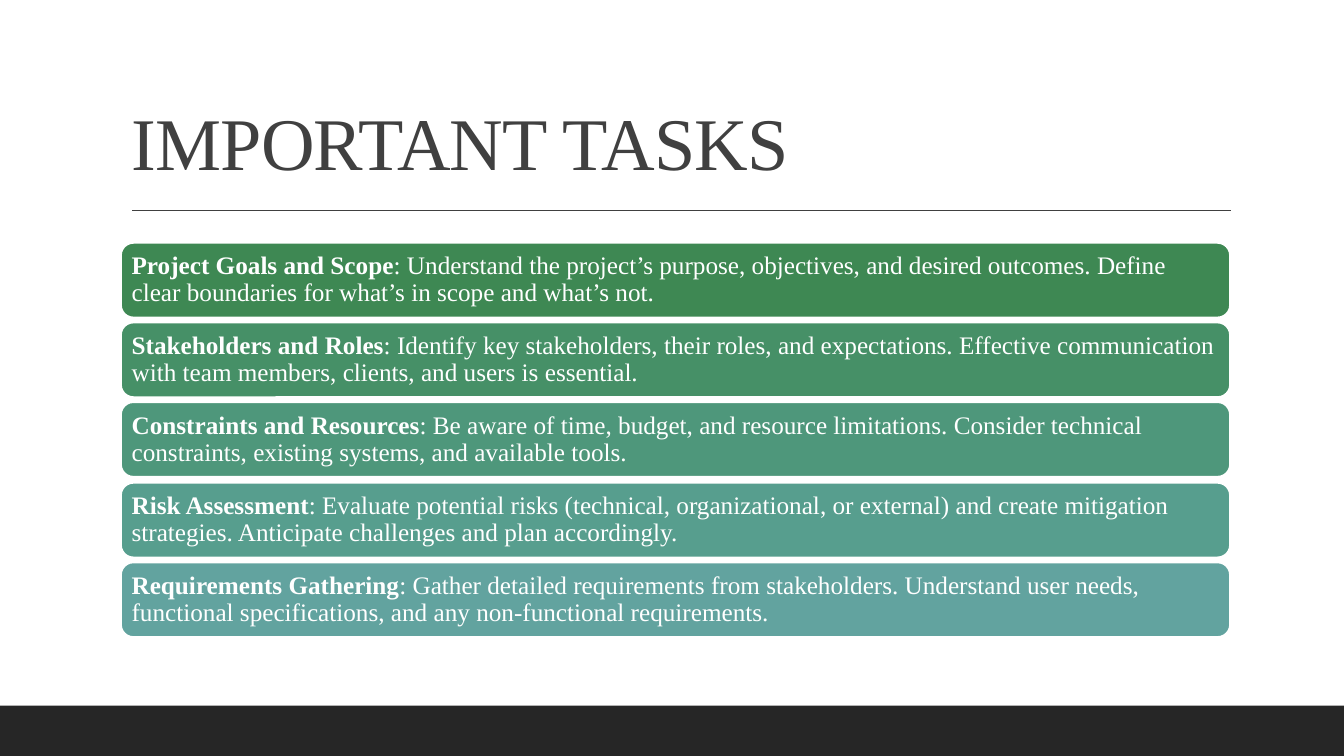
from dataclasses import dataclass

from pptx import Presentation
from pptx import util as u
from pptx.dml.color import RGBColor
from pptx.enum import shapes, text
from pptx.oxml.ns import qn
from lxml import etree

EMU_PER_PX = 9144  # 100 px to the inch


@dataclass(frozen=True)
class Theme:
    font: str = "Times New Roman"
    title_size: float = 53
    body_size: float = 18
    ink: str = "404040"
    footer: str = "262626"
    white: str = "FFFFFF"
    cards: tuple = ("3E8853", "469067", "4E977B", "579E8E", "62A39F")


THEME = Theme()

TASKS = [
    ("Project Goals and Scope",
     "Understand the project’s purpose, objectives, and desired outcomes. "
     "Define clear boundaries for what’s in scope and what’s not."),
    ("Stakeholders and Roles",
     "Identify key stakeholders, their roles, and expectations. "
     "Effective communication with team members, clients, and users is essential."),
    ("Constraints and Resources",
     "Be aware of time, budget, and resource limitations. "
     "Consider technical constraints, existing systems, and available tools."),
    ("Risk Assessment",
     "Evaluate potential risks (technical, organizational, or external) and create "
     "mitigation strategies. Anticipate challenges and plan accordingly."),
    ("Requirements Gathering",
     "Gather detailed requirements from stakeholders. Understand user needs, "
     "functional specifications, and any non-functional requirements."),
]

CARD_LEFT, CARD_TOP, CARD_WIDTH, CARD_HEIGHT = 120, 241, 1100, 74
CARD_PITCH = 79.25


def px(n):
    return u.Emu(n * EMU_PER_PX)


def rgb(color):
    return RGBColor.from_string(color)


def style_paragraph(p, size, color):
    p.alignment = text.PP_ALIGN.LEFT
    p.line_spacing = 0.9
    p.font.name = THEME.font
    p.font.size = u.Pt(size)
    p.font.color.rgb = rgb(color)


def add_box(s, kind, left, top, width, height, fill):
    sp = s.shapes.add_shape(kind, px(left), px(top), px(width), px(height))
    sp.shadow.inherit = False
    sp.fill.solid()
    sp.fill.fore_color.rgb = rgb(fill)
    sp.line.fill.background()
    return sp


def set_title(s, words):
    sp = s.shapes.title
    sp.left, sp.top, sp.width, sp.height = px(120), px(31), px(1100), px(159)
    tf = sp.text_frame
    tf.auto_size = text.MSO_AUTO_SIZE.NONE
    tf.vertical_anchor = text.MSO_ANCHOR.BOTTOM
    p = tf.paragraphs[0]
    style_paragraph(p, THEME.title_size, THEME.ink)
    r = p.add_run()
    r.text = words
    r._r.get_or_add_rPr().set("spc", "-50")


def add_rule(s, left, right, y):
    line = s.shapes.add_connector(shapes.MSO_CONNECTOR.STRAIGHT,
                                  px(left), px(y), px(right), px(y))
    line.line.color.rgb = rgb(THEME.ink)
    line.line.width = u.Pt(1)
    etree.SubElement(line._element.spPr, qn("a:effectLst"))


def add_card(s, top, fill, heading, detail):
    sp = add_box(s, shapes.MSO_SHAPE.ROUNDED_RECTANGLE,
                 CARD_LEFT, top, CARD_WIDTH, CARD_HEIGHT, fill)
    sp.line.color.rgb = rgb(THEME.white)
    sp.line.width = u.Pt(1.25)
    tf = sp.text_frame
    tf.word_wrap = True
    tf.vertical_anchor = text.MSO_ANCHOR.MIDDLE
    tf.margin_left = tf.margin_right = tf.margin_top = tf.margin_bottom = px(7)
    p = tf.paragraphs[0]
    style_paragraph(p, THEME.body_size, THEME.white)
    r = p.add_run()
    r.text = heading
    r.font.bold = True
    p.add_run().text = f": {detail}"


def main():
    prs = Presentation()
    prs.slide_width, prs.slide_height = px(1333), px(750)
    s = prs.slides.add_slide(prs.slide_layouts[5])
    s.background.fill.solid()
    s.background.fill.fore_color.rgb = rgb(THEME.white)

    set_title(s, "IMPORTANT TASKS")
    add_rule(s, 131, 1221, 209)
    add_box(s, shapes.MSO_SHAPE.RECTANGLE, 0, 700, 1333, 50, THEME.footer)
    for i, (fill, (heading, detail)) in enumerate(zip(THEME.cards, TASKS)):
        add_card(s, CARD_TOP + round(i * CARD_PITCH), fill, heading, detail)

    prs.save("out.pptx")


if __name__ == "__main__":
    main()
